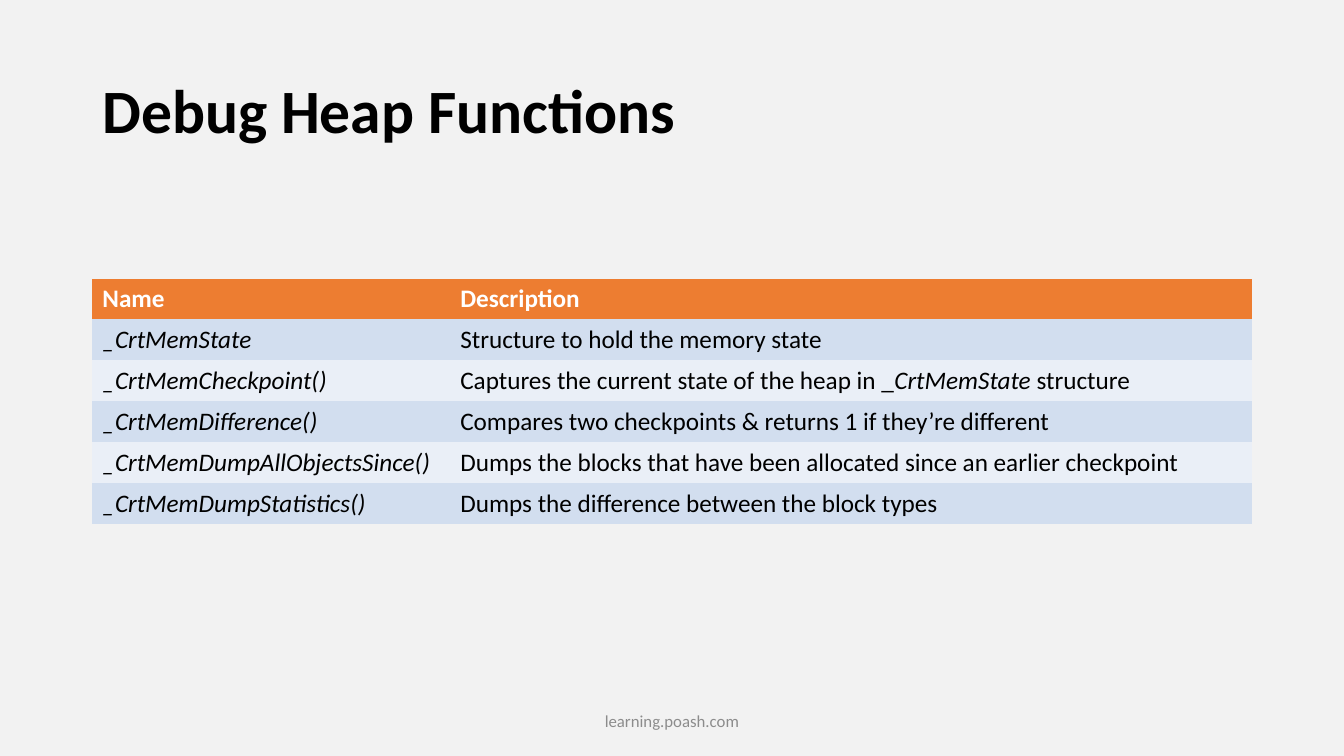
from pptx import Presentation
from pptx.dml.color import RGBColor
from pptx.enum import text as t
from pptx.oxml import ns
from pptx.util import Pt

BACKGROUND = RGBColor(0xF2, 0xF2, 0xF2)
BLACK = RGBColor(0, 0, 0)
WHITE = RGBColor(0xFF, 0xFF, 0xFF)
ORANGE = RGBColor(0xED, 0x7D, 0x31)
BANDS = RGBColor(0xEA, 0xEF, 0xF7), RGBColor(0xD2, 0xDE, 0xEF)
FOOTER_GRAY = RGBColor(0x8C, 0x8C, 0x8C)
NO_STYLE = "{2D5ABB26-0587-4C30-8999-92F81FD0307C}"

TITLE = "Debug Heap Functions"
FOOTER = "learning.poash.com"
HEADINGS = ["Name", "Description"]
FUNCTIONS = [
    ("_CrtMemState", "Structure to hold the memory state"),
    ("_CrtMemCheckpoint()", [
        ("Captures the current state of the heap in _", False),
        ("CrtMemState", True),
        (" structure", False),
    ]),
    ("_CrtMemDifference()", "Compares two checkpoints & returns 1 if they’re different"),
    ("_CrtMemDumpAllObjectsSince()",
     "Dumps the blocks that have been allocated since an earlier checkpoint"),
    ("_CrtMemDumpStatistics()", "Dumps the difference between the block types"),
]

LEFT, WIDTH = 66, 828
TABLE_TOP, ROW_HEIGHT = 199, 29.2
COLUMN_WIDTHS = 255.6, 572.4


def write(frame, content, size=18, color=BLACK, bold=False, italic=False,
          align=t.PP_ALIGN.LEFT, spacing=1.0):
    paragraph = frame.paragraphs[0]
    paragraph.alignment = align
    paragraph.line_spacing = spacing
    pieces = [(content, italic)] if isinstance(content, str) else content
    for words, slanted in pieces:
        run = paragraph.add_run()
        run.text = words
        run.font.name = "Calibri"
        run.font.size = Pt(size)
        run.font.bold = bold
        run.font.italic = slanted
        run.font.color.rgb = color


def add_box(slide, content, left, top, width, height, **style):
    frame = slide.shapes.add_textbox(Pt(left), Pt(top), Pt(width), Pt(height)).text_frame
    frame.word_wrap = True
    frame.vertical_anchor = t.MSO_ANCHOR.MIDDLE
    write(frame, content, **style)


def add_functions(slide):
    rows = [HEADINGS, *FUNCTIONS]
    graphic = slide.shapes.add_table(len(rows), len(HEADINGS), Pt(LEFT), Pt(TABLE_TOP),
                                     Pt(WIDTH), Pt(ROW_HEIGHT * len(rows)))
    for style_id in graphic.element.iter(ns.qn("a:tableStyleId")):
        style_id.text = NO_STYLE
    table = graphic.table
    for column, width in zip(table.columns, COLUMN_WIDTHS):
        column.width = Pt(width)
    for r, row in enumerate(rows):
        table.rows[r].height = Pt(ROW_HEIGHT)
        for c, content in enumerate(row):
            cell = table.cell(r, c)
            cell.fill.solid()
            cell.fill.fore_color.rgb = BANDS[r % 2] if r else ORANGE
            write(cell.text_frame, content, color=BLACK if r else WHITE,
                  bold=r == 0, italic=r > 0 and c == 0)


def main():
    deck = Presentation()
    deck.slide_width, deck.slide_height = Pt(960), Pt(540)
    slide = deck.slides.add_slide(deck.slide_layouts[6])
    slide.background.fill.solid()
    slide.background.fill.fore_color.rgb = BACKGROUND
    add_box(slide, TITLE, LEFT, 28.8, WIDTH, 104.4, size=44, bold=True, spacing=0.9)
    add_functions(slide)
    add_box(slide, FOOTER, 318, 500.5, 324, 28.8, size=12, color=FOOTER_GRAY,
            align=t.PP_ALIGN.CENTER)
    deck.save("out.pptx")


if __name__ == "__main__":
    main()
